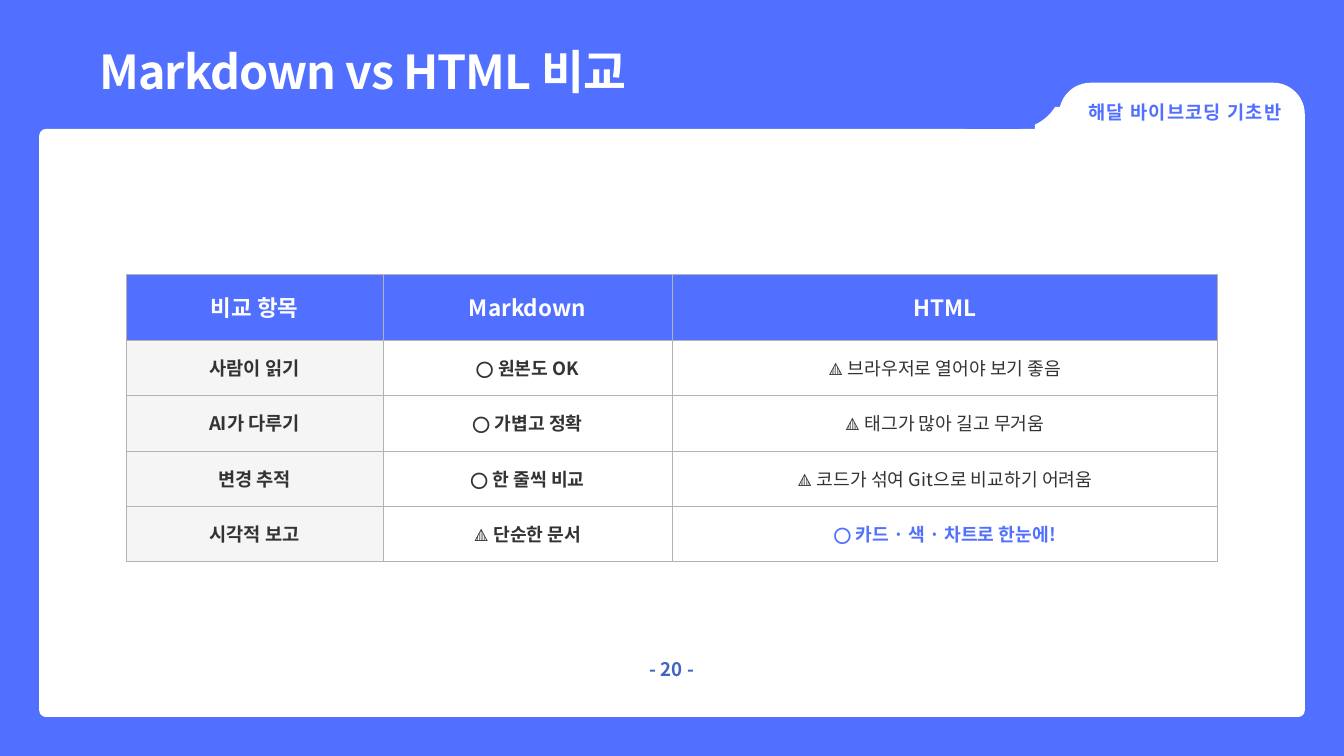
import pptx
import pptx.dml.color
import pptx.enum.shapes
import pptx.enum.text
import pptx.oxml
import pptx.oxml.ns
import pptx.util

Pt = pptx.util.Pt
ALIGN = pptx.enum.text.PP_ALIGN
SHAPE = pptx.enum.shapes.MSO_SHAPE
FONT = "Noto Sans CJK KR"
COLORS = {
    "blue": "5170FF",
    "white": "FFFFFF",
    "header_text": "FEFEFE",
    "label_fill": "F5F5F5",
    "text": "333333",
    "border": "B3B3B3",
    "page_number": "4165C1",
}


def rgb(name):
    return pptx.dml.color.RGBColor.from_string(COLORS[name])


def write_text(frame, text, size=20, color="text", bold=True,
               align=ALIGN.CENTER, line=28, spacing=0):
    para = frame.paragraphs[0]
    para.alignment = align
    para.line_spacing = Pt(line)
    span = para.add_run()
    span.text = text
    span.font.size = Pt(size)
    span.font.bold = bold
    span.font.name = FONT
    span.font.color.rgb = rgb(color)
    properties = span._r.get_or_add_rPr()
    if spacing:
        properties.set("spc", str(round(spacing * 100)))
    # Korean letters take the East Asian font
    east_asian = pptx.oxml.parse_xml(
        f'<a:ea {pptx.oxml.ns.nsdecls("a")} typeface="{FONT}"/>')
    properties.append(east_asian)


class SlideBuilder:
    def __init__(self, page, background):
        self.page = page
        fill = page.background.fill
        fill.solid()
        fill.fore_color.rgb = rgb(background)

    def block(self, left, top, width, height, color, radius=0):
        kind = SHAPE.ROUNDED_RECTANGLE if radius else SHAPE.RECTANGLE
        box = self.page.shapes.add_shape(
            kind, Pt(left), Pt(top), Pt(width), Pt(height))
        if radius:
            box.adjustments[0] = radius / min(width, height)
        box.shadow.inherit = False
        box.fill.solid()
        box.fill.fore_color.rgb = rgb(color)
        box.line.fill.background()

    def text(self, left, top, width, height, text, **style):
        box = self.page.shapes.add_textbox(
            Pt(left), Pt(top), Pt(width), Pt(height))
        frame = box.text_frame
        frame.word_wrap = True
        frame.auto_size = pptx.enum.text.MSO_AUTO_SIZE.SHAPE_TO_FIT_TEXT
        frame.margin_left = frame.margin_right = 0
        frame.margin_top = frame.margin_bottom = 0
        write_text(frame, text, **style)

    def cell(self, cell, text, fill=None, **style):
        cell.margin_left = cell.margin_right = Pt(15)
        cell.margin_top = cell.margin_bottom = Pt(15)
        cell.vertical_anchor = pptx.enum.text.MSO_ANCHOR.MIDDLE
        for side in "LRTB":
            border = pptx.oxml.parse_xml(
                f'<a:ln{side} {pptx.oxml.ns.nsdecls("a")} w="{Pt(0.75)}">'
                f'<a:solidFill><a:srgbClr val="{COLORS["border"]}"/>'
                f'</a:solidFill></a:ln{side}>')
            cell._tc.get_or_add_tcPr().append(border)
        if fill:
            cell.fill.solid()
            cell.fill.fore_color.rgb = rgb(fill)
        else:
            cell.fill.background()
        write_text(cell.text_frame, text, **style)

    def table(self, left, top, widths, heights, rows, style_for):
        frame = self.page.shapes.add_table(
            len(heights), len(widths), Pt(left), Pt(top),
            Pt(sum(widths)), Pt(sum(heights)))
        table = frame.table
        for column, width in zip(table.columns, widths):
            column.width = Pt(width)
        for row, height in zip(table.rows, heights):
            row.height = Pt(height)
        for r, texts in enumerate(rows):
            for c, text in enumerate(texts):
                self.cell(table.cell(r, c), text, **style_for(r, c))


ROWS = [
    ("비교 항목", "Markdown", "HTML"),
    ("사람이 읽기", "⭕ 원본도 OK", "🔺 브라우저로 열어야 보기 좋음"),
    ("AI가 다루기", "⭕ 가볍고 정확", "🔺 태그가 많아 길고 무거움"),
    ("변경 추적", "⭕ 한 줄씩 비교", "🔺 코드가 섞여 Git으로 비교하기 어려움"),
    ("시각적 보고", "🔺 단순한 문서", "⭕ 카드 · 색 · 차트로 한눈에!"),
]


def comparison_style(row, column):
    if row == 0:
        return dict(fill="blue", size=24, color="header_text", line=33.6)
    if column == 0:
        return dict(fill="label_fill")
    style = dict(size=19.5, line=27.3)
    if column == 2:
        # Only the row that HTML wins is highlighted
        wins = row == len(ROWS) - 1
        style.update(bold=wins, color="blue" if wins else "text")
    return style


def main():
    deck = pptx.Presentation()
    deck.slide_width, deck.slide_height = Pt(1440), Pt(810)
    slide = SlideBuilder(deck.slides.add_slide(deck.slide_layouts[6]), "blue")

    # White panel with a folder tab and its curved notch
    slide.block(42, 138.2, 1356, 630, "white", radius=7)
    slide.block(1134.7, 88.6, 263.3, 201, "white", radius=33.8)
    slide.block(1108.8, 114.5, 141, 110, "white")
    slide.block(990.7, 36, 147.6, 102.2, "blue", radius=51.1)

    # Title
    slide.text(106.5, 54.7, 968.4, 54, "Markdown vs HTML 비교", size=50,
               color="white", align=ALIGN.LEFT, line=51, spacing=-1)

    # Comparison table
    slide.table(135.3, 294, (275, 309.6, 584.6), (70.6,) + (59.3,) * 4,
                ROWS, comparison_style)

    # Tab label and page number
    slide.text(1157, 106.5, 225.4, 26, "해달 바이브코딩 기초반",
               color="blue", line=25.4, spacing=1.2)
    slide.text(660, 700.6, 120, 28, "- 20 -", color="page_number")

    deck.save("out.pptx")


if __name__ == "__main__":
    main()
